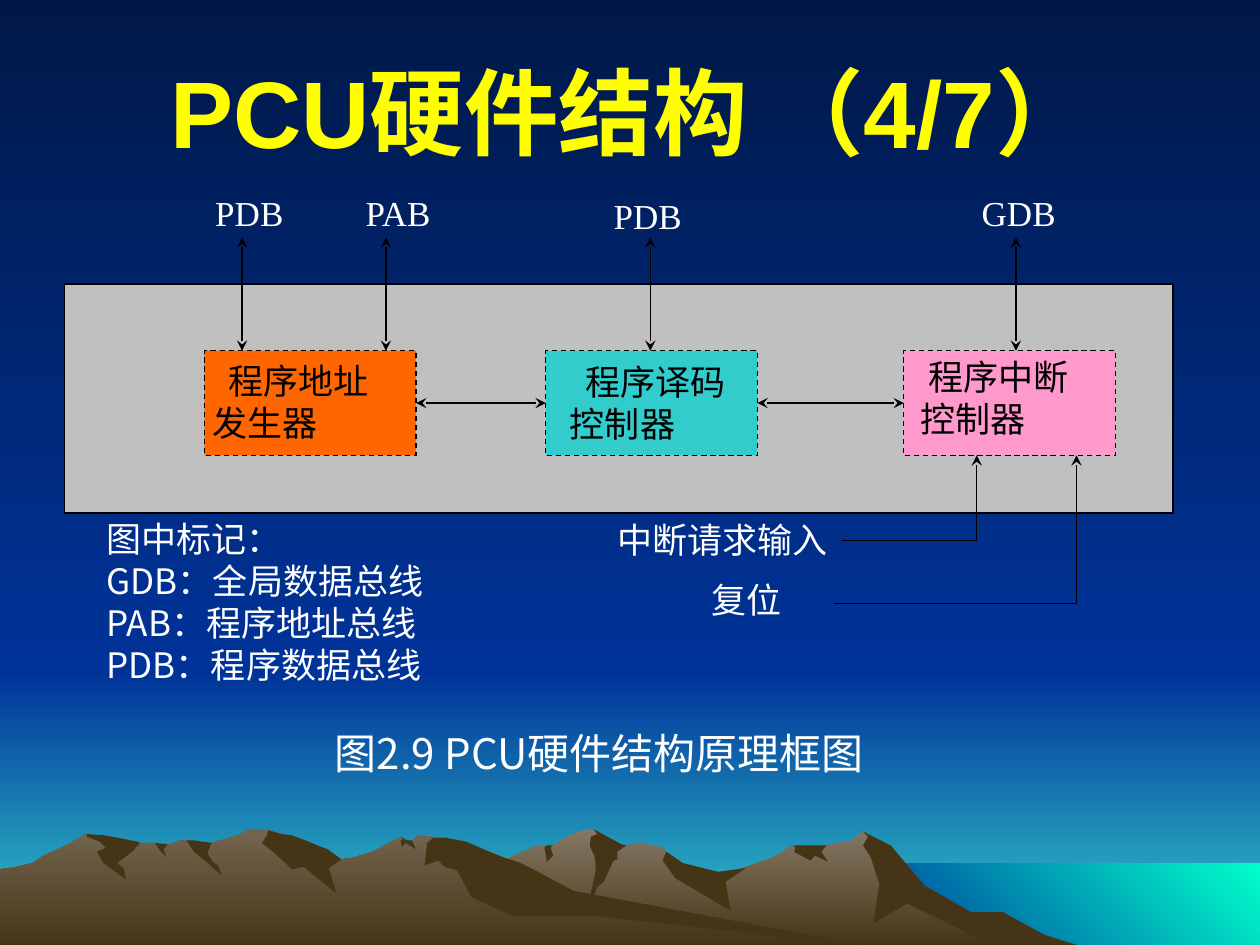
from itertools import pairwise

from lxml.etree import SubElement
from pptx import Presentation
from pptx.dml.color import RGBColor
from pptx.enum.dml import MSO_LINE
from pptx.enum.shapes import MSO_CONNECTOR, MSO_SHAPE
from pptx.enum.text import MSO_ANCHOR, PP_ALIGN
from pptx.oxml.ns import qn
from pptx.util import Cm, Pt

COLORS = {
    "night": "001847", "blue": "003399", "horizon": "33CCCC", "sea": "00FFCC",
    "near_peak": "847864", "far_peak": "73654F", "shade": "463416",
    "title": "FFFF00", "text": "FFFFFF", "ink": "000000", "frame": "C0C0C0",
    "address": "FF6600", "decoder": "33CCCC", "interrupt": "FF99CC",
}
CJK, SERIF, SANS = "Noto Sans CJK SC", "Times New Roman", "Arial"
HUNDREDTH_INCH = Cm(0.0254)
INSETS = (0.25, 0.13, 0.25, 0.13)

EAST_RIDGE = [
    (802, 740), (778, 727), (764, 723), (723, 698), (702, 671), (685, 660), (676, 667),
    (656, 671), (629, 671), (613, 681), (566, 697), (536, 690), (529, 676), (526, 673),
    (509, 669), (497, 671), (486, 673), (474, 661), (471, 658), (465, 658), (450, 664),
    (444, 668), (438, 671), (430, 671), (424, 672), (418, 675), (412, 677), (405, 681),
    (394, 685), (355, 698), (327, 709), (277, 739), (258, 751), (821, 751)]
EAST_SHADES = [
    [(796, 724), (771, 724), (734, 703), (707, 671), (685, 660), (689, 664), (685, 671),
     (691, 680), (698, 702), (693, 733), (720, 717), (792, 752), (858, 751), (829, 742)],
    [(471, 658), (474, 662), (469, 664), (468, 671), (472, 680), (473, 690), (465, 727),
     (474, 704), (479, 700), (487, 683), (490, 682), (490, 676), (497, 671), (493, 670)],
    [(529, 676), (528, 678), (526, 683), (536, 697), (580, 723), (576, 700), (592, 689),
     (570, 692), (542, 685)],
    [(650, 671), (630, 671), (631, 672), (631, 675), (630, 676), (643, 683), (647, 679),
     (657, 684), (652, 676), (656, 671)],
    [(433, 677), (432, 673), (434, 671), (438, 671), (439, 670), (437, 673), (439, 679),
     (434, 684)],
]
WEST_RIDGE = [
    (690, 751), (667, 748), (432, 712), (354, 665), (331, 663), (327, 668), (323, 668),
    (318, 664), (296, 676), (279, 681), (271, 682), (260, 676), (236, 681), (223, 663),
    (219, 660), (212, 658), (196, 658), (191, 662), (178, 666), (168, 669), (160, 671),
    (148, 667), (143, 667), (132, 671), (128, 671), (123, 669), (111, 669), (94, 671),
    (68, 662), (56, 669), (46, 674), (35, 679), (26, 685), (14, 688), (0, 690), (0, 751)]
WEST_SHADES = [
    [(212, 663), (208, 669), (219, 678), (232, 690), (241, 688), (267, 709), (261, 689),
     (271, 682), (260, 674), (252, 671), (245, 668), (232, 663), (224, 662), (213, 659)],
    [(370, 668), (354, 665), (344, 665), (339, 669), (337, 687), (348, 683), (353, 688),
     (363, 691), (374, 712), (407, 727), (472, 727), (690, 751), (455, 707), (427, 692),
     (411, 684), (401, 681), (386, 675)],
    [(318, 667), (320, 666), (318, 664), (323, 667), (327, 667), (330, 674), (322, 669),
     (319, 672)],
    [(154, 667), (168, 669), (165, 676), (165, 678), (169, 684), (173, 687), (176, 695),
     (165, 685), (154, 676), (148, 667)],
    [(133, 670), (130, 674), (132, 680), (127, 675), (123, 669)],
    [(109, 668), (111, 669), (105, 676), (93, 685), (98, 689), (100, 698), (82, 685),
     (77, 676), (84, 673), (79, 668), (69, 664), (69, 662), (83, 663), (94, 665)],
]


def rgb(color):
    return RGBColor.from_string(COLORS[color])


def paint(fill, start, end=None, angle=270):
    if end is None:
        fill.solid()
        fill.fore_color.rgb = rgb(start)
        return
    fill.gradient()
    fill.gradient_angle = angle
    for stop, color in zip(fill.gradient_stops, (start, end)):
        stop.color.rgb = rgb(color)


def add_rectangle(slide, box, *colors, **gradient):
    rectangle = slide.shapes.add_shape(MSO_SHAPE.RECTANGLE, *map(Cm, box))
    rectangle.shadow.inherit = False
    paint(rectangle.fill, *colors, **gradient)
    rectangle.line.fill.background()
    return rectangle


def outline(shape, width, dash=None):
    shape.line.color.rgb = rgb("ink")
    shape.line.width = Pt(width)
    shape.line.dash_style = dash


def add_text(slide, box, lines, font=SERIF, size=20, color="text", bold=False,
             align=PP_ALIGN.JUSTIFY, anchor=MSO_ANCHOR.TOP, insets=INSETS, indents=()):
    frame = slide.shapes.add_textbox(*map(Cm, box)).text_frame
    frame.word_wrap = True
    frame.vertical_anchor = anchor
    frame.margin_left, frame.margin_top, frame.margin_right, frame.margin_bottom = map(Cm, insets)
    frame.text = "\n".join(lines)
    for paragraph in frame.paragraphs:
        paragraph.alignment = align
        paragraph.font.name = font
        paragraph.font.size = Pt(size)
        paragraph.font.bold = bold
        paragraph.font.color.rgb = rgb(color)
        properties = paragraph._p.get_or_add_pPr()
        SubElement(properties.find(qn("a:defRPr")), qn("a:ea"), typeface=CJK)
    for paragraph, indent in zip(frame.paragraphs, indents):
        paragraph._p.get_or_add_pPr().set("marL", str(Cm(indent)))


def add_line(slide, start, end, *arrow_ends):
    line = slide.shapes.add_connector(MSO_CONNECTOR.STRAIGHT, *map(Cm, start + end))
    outline(line, 0.75)
    properties = line._element.spPr
    for arrow_end in arrow_ends:
        SubElement(properties.find(qn("a:ln")), qn(f"a:{arrow_end}"), type="stealth")
    SubElement(properties, qn("a:effectLst"))


def add_landscape(slide, box):
    left, top, width, height = box
    horizon = 13.54
    add_rectangle(slide, (left, top + horizon, width, height - horizon), "blue", "horizon")
    add_rectangle(slide, (left, top, width, horizon), "night", "blue")
    add_rectangle(slide, (left + 17.35, top + 17.4, 8.05, 1.7), "blue", "sea", angle=45)
    for ridge, peak, shades in ((EAST_RIDGE, "near_peak", EAST_SHADES),
                                (WEST_RIDGE, "far_peak", WEST_SHADES)):
        for points, colors in [(ridge, (peak, "shade"))] + [(s, ("shade",)) for s in shades]:
            builder = slide.shapes.build_freeform(*points[0], scale=HUNDREDTH_INCH)
            builder.add_line_segments(points[1:], close=True)
            mountain = builder.convert_to_shape(Cm(left), Cm(top))
            mountain.shadow.inherit = False
            paint(mountain.fill, *colors)
            mountain.line.fill.background()


def add_diagram(slide, box):
    left, top, width, height = box
    outline(add_rectangle(slide, box, "frame"), 1)
    block_top, block_width, block_height = 1.35, 4.27, 2.11
    block_lefts = (2.82, 9.7, 16.92)

    def at(x, y):
        return left + x, top + y

    for x, color in zip(block_lefts, ("address", "decoder", "interrupt")):
        block = add_rectangle(slide, (*at(x, block_top), block_width, block_height), color)
        outline(block, 0.75, MSO_LINE.DASH)
    for x, y, w, h, lines, indents, insets in (
        (2.41, 1.5, 4.62, 1.93, ("程序地址", "发生器"), (0.79, 0.47), (0.1, 0.03, 0.05, 0.03)),
        (9.47, 1.42, 4.7, 2.16, ("程序译码", "控制器"), (0.79, 0.47), INSETS),
        (16.69, 1.32, 4.65, 2.26, ("程序中断", "控制器"), (0.47, 0.32), INSETS),
    ):
        add_text(slide, (*at(x, y), w, h), lines, color="ink", indents=indents, insets=insets)

    for previous, following in pairwise(block_lefts):
        middle = block_top + block_height / 2
        add_line(slide, at(previous + block_width, middle), at(following, middle),
                 "headEnd", "tailEnd")
    for bus, arrow_x, x, y, w in (("PDB", 3.58, 2.79, -1.98, 2.9), ("PAB", 6.48, 5.82, -1.98, 2.36),
                                  ("PDB", 11.81, 10.82, -1.93, 2.29),
                                  ("GDB", 19.18, 18.24, -1.98, 2.49)):
        add_line(slide, at(arrow_x, block_top), at(arrow_x, -0.93), "headEnd", "tailEnd")
        add_text(slide, (*at(x, y), w, 1.45), [bus])
    for signal, start_x, corner_x, line_y, x, y, w, h in (
        ("中断请求输入", 15.67, 18.39, 5.18, 10.9, 4.6, 4.98, 1.4),
        ("复位", 15.52, 20.4, 6.45, 12.8, 5.82, 3.89, 1.6),
    ):
        add_line(slide, at(corner_x, line_y), at(start_x, line_y))
        add_line(slide, at(corner_x, line_y), at(corner_x, block_top + block_height), "tailEnd")
        add_text(slide, (*at(x, y), w, h), [signal])


def main():
    presentation = Presentation()
    presentation.slide_width, presentation.slide_height = Cm(25.4), Cm(19.05)
    slide = presentation.slides.add_slide(presentation.slide_layouts[6])
    paint(slide.background.fill, "night", "blue")
    add_landscape(slide, (0, 0, 25.4, 19.05))
    add_text(slide, (1.27, 0.64, 22.86, 3.18), ["PCU硬件结构 （4/7）"], SANS, 54, "title",
             bold=True, align=PP_ALIGN.CENTER, anchor=MSO_ANCHOR.MIDDLE)
    add_diagram(slide, (1.3, 5.72, 22.35, 4.62))
    add_text(slide, (1.9, 10.31, 7.5, 4.65),
             ["图中标记：", "GDB：全局数据总线", "PAB：程序地址总线", "PDB：程序数据总线"], CJK)
    add_text(slide, (6.5, 14.53, 14.2, 1.8), ["图2.9 PCU硬件结构原理框图"], CJK, 24)
    presentation.save("out.pptx")


if __name__ == "__main__":
    main()
